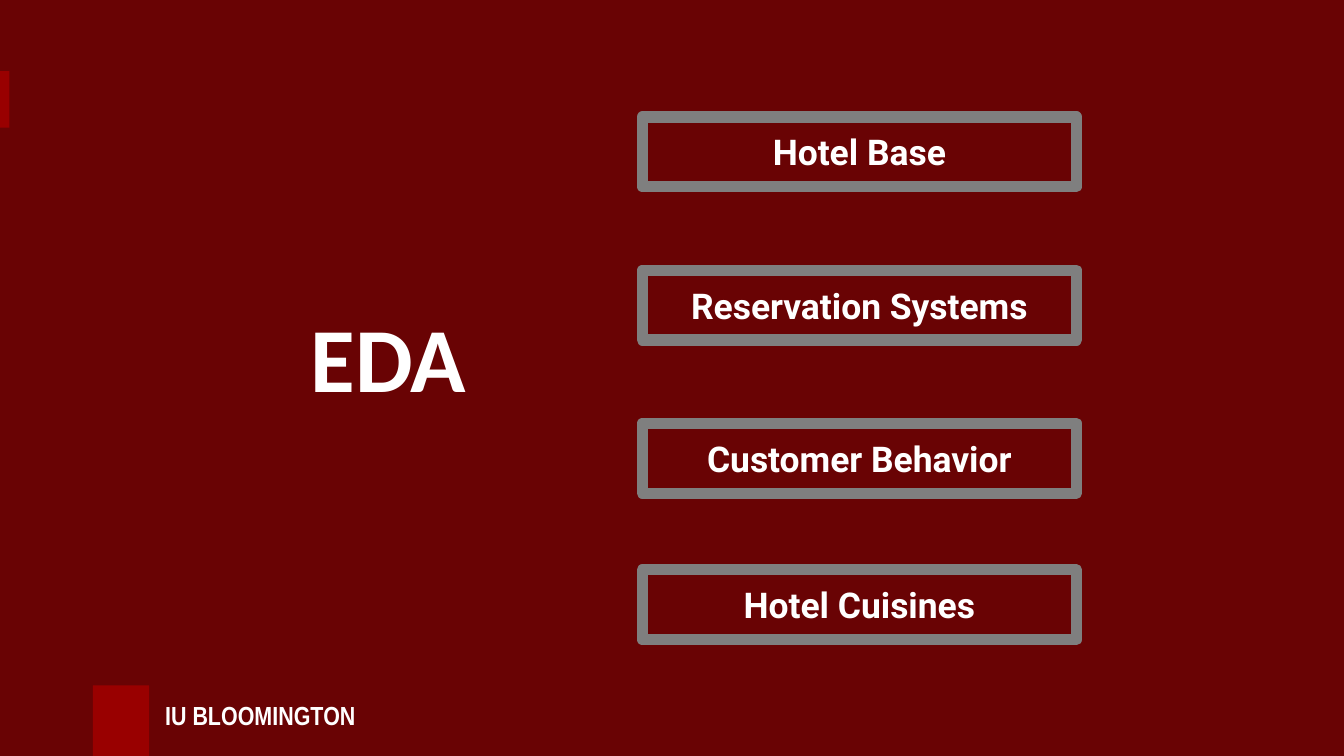
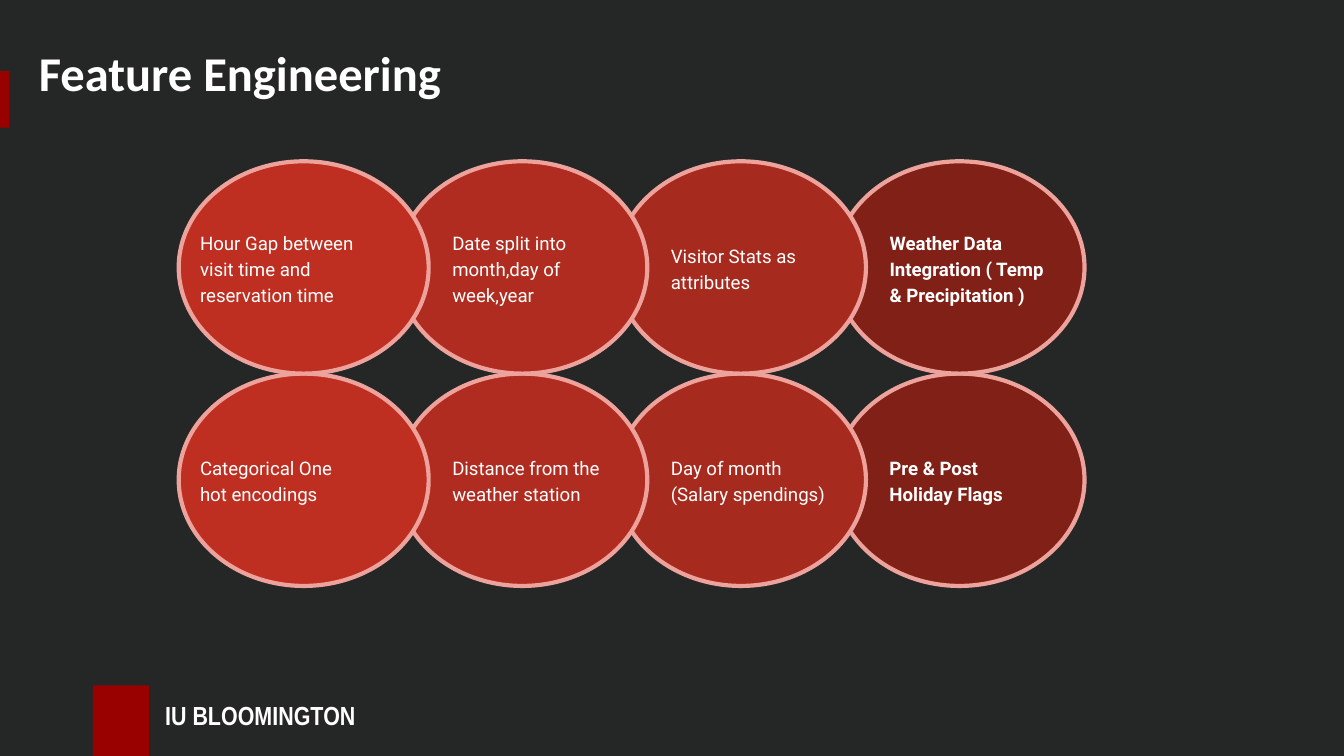
import pptx
import pptx.dml.color
import pptx.enum.shapes
import pptx.enum.text
import pptx.util

Inches = pptx.util.Inches
Pt = pptx.util.Pt
RGBColor = pptx.dml.color.RGBColor
SHAPE = pptx.enum.shapes.MSO_SHAPE
ANCHOR = pptx.enum.text.MSO_ANCHOR
ALIGN = pptx.enum.text.PP_ALIGN

# Colours
MAROON = RGBColor(0x69, 0x03, 0x04)
CHARCOAL = RGBColor(0x25, 0x26, 0x26)
CRIMSON = RGBColor(0x99, 0x00, 0x00)
WHITE = RGBColor(0xFF, 0xFF, 0xFF)
GRAY = RGBColor(0x7F, 0x7F, 0x7F)
PINK = RGBColor(0xED, 0xA2, 0x9B)
COLUMN_REDS = [
    RGBColor(0xBE, 0x2F, 0x22),
    RGBColor(0xB0, 0x2C, 0x20),
    RGBColor(0xA7, 0x2A, 0x1E),
    RGBColor(0x80, 0x20, 0x17),
]

# Topics as (top, label)
EDA_TOPICS = [
    (0.87, "Hotel Base"),
    (2.01, "Reservation Systems"),
    (3.15, "Customer Behavior"),
    (4.24, "Hotel Cuisines"),
]

# Features by row, as (text width, text)
FEATURES = [
    [
        (1.51, "Hour Gap between visit time and reservation time"),
        (1.45, "Date split into month,day of week,year"),
        (1.3, "Visitor Stats as attributes"),
        (1.38, "Weather Data Integration ( Temp & Precipitation )"),
    ],
    [
        (1.3, "Categorical One hot encodings"),
        (1.45, "Distance from the weather station"),
        (1.4, "Day of month (Salary spendings)"),
        (1.3, "Pre & Post Holiday Flags"),
    ],
]


def write(shape, text, size, font, bold=True, align=ALIGN.LEFT,
          anchor=ANCHOR.MIDDLE, inset=0.1, spacing=None):
    """Put one white run into a shape."""
    frame = shape.text_frame
    frame.word_wrap = True
    frame.vertical_anchor = anchor
    frame.margin_left = frame.margin_right = Inches(0.1)
    frame.margin_top = frame.margin_bottom = Inches(inset)
    paragraph = frame.paragraphs[0]
    paragraph.alignment = align
    if spacing:
        paragraph.line_spacing = spacing
    run = paragraph.add_run()
    run.text = text
    run.font.name = font
    run.font.size = Pt(size)
    run.font.bold = bold
    run.font.color.rgb = WHITE


def add_text(shapes, box, text, size, font, **style):
    write(shapes.add_textbox(*map(Inches, box)), text, size, font, **style)


def add_figure(shapes, kind, box, fill=None, line=None, weight=0):
    figure = shapes.add_shape(kind, *map(Inches, box))
    figure.shadow.inherit = False
    if fill is None:
        figure.fill.background()
    else:
        figure.fill.solid()
        figure.fill.fore_color.rgb = fill
    if line is None:
        figure.line.fill.background()
    else:
        figure.line.color.rgb = line
        figure.line.width = Pt(weight)
    return figure


def start_slide(deck, background):
    """Add a slide with the shared background, side tab and footer."""
    slide = deck.slides.add_slide(deck.slide_layouts[6])
    slide.background.fill.solid()
    slide.background.fill.fore_color.rgb = background
    shapes = slide.shapes
    add_figure(shapes, SHAPE.RECTANGLE, (-0.02, 0.53, 0.09, 0.42), CRIMSON)
    add_figure(shapes, SHAPE.RECTANGLE, (0.69, 5.1, 0.42, 0.58), CRIMSON)
    add_text(shapes, (1.13, 5.15, 3.95, 0.34), "IU BLOOMINGTON", 14,
             "Arial Narrow", inset=0.05)
    return shapes


def add_topic(shapes, box, label):
    frame = add_figure(shapes, SHAPE.RECTANGLE, box, line=GRAY, weight=6)
    write(frame, label, 19, "Roboto", align=ALIGN.CENTER, anchor=ANCHOR.TOP)


def add_feature(shapes, box, fill, indent, text_width, text, bold):
    """Draw an ellipse with its text left of centre, grouped together."""
    left, top, width, height = box
    group = shapes.add_group_shape().shapes
    add_figure(group, SHAPE.OVAL, box, fill, PINK, 2.25)
    text_height = 0.44
    text_box = (left + indent, top + (height - text_height) / 2,
                text_width, text_height)
    add_text(group, text_box, text, 10, "Roboto", bold=bold, spacing=1.15)


def add_feature_grid(shapes, box):
    left, top, width, height = box
    oval_width, oval_height = 1.86, height / len(FEATURES)
    last = len(COLUMN_REDS) - 1
    step = (width - oval_width) / last
    # Bottom row first and right to left, so each ellipse overlaps the next
    for row in reversed(range(len(FEATURES))):
        for column in reversed(range(len(COLUMN_REDS))):
            text_width, text = FEATURES[row][column]
            oval = (left + column * step, top + row * oval_height,
                    oval_width, oval_height)
            indent = 0.31 if column else 0.06
            add_feature(shapes, oval, COLUMN_REDS[column], indent,
                        text_width, text, bold=column == last)


def build_eda_slide(deck):
    shapes = start_slide(deck, MAROON)
    add_text(shapes, (2.03, 2.14, 1.72, 1.03), "EDA", 49, "Calibri",
             align=ALIGN.CENTER, anchor=ANCHOR.TOP)
    for top, label in EDA_TOPICS:
        add_topic(shapes, (4.78, top, 3.23, 0.52), label)


def build_feature_slide(deck):
    shapes = start_slide(deck, CHARCOAL)
    add_text(shapes, (0.19, 0.21, 4.99, 0.65), "Feature Engineering", 26,
             "Calibri", inset=0.05)
    add_feature_grid(shapes, (1.33, 1.2, 6.74, 3.16))


def main():
    deck = pptx.Presentation()
    # Widescreen, 16:9
    deck.slide_width = Inches(10)
    deck.slide_height = deck.slide_width * 9 // 16
    build_eda_slide(deck)
    build_feature_slide(deck)
    deck.save("out.pptx")


if __name__ == "__main__":
    main()
